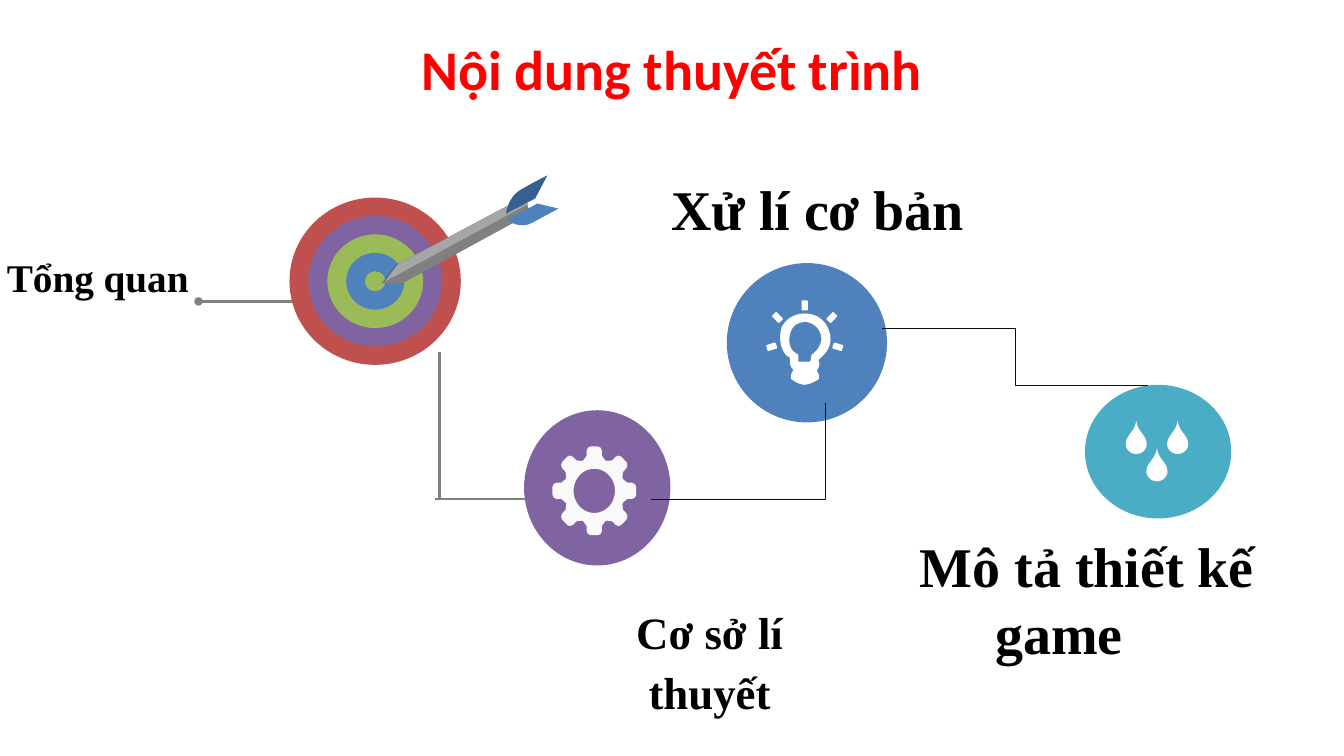
from math import cos, pi, sin

from lxml.etree import SubElement
from pptx import Presentation
from pptx.dml.color import RGBColor
from pptx.enum.shapes import MSO_CONNECTOR, MSO_SHAPE
from pptx.enum.text import MSO_ANCHOR, MSO_AUTO_SIZE, PP_ALIGN
from pptx.oxml.ns import qn
from pptx.util import Pt

COLORS = {
    "title": "FF0000", "text": "000000", "white": "FFFFFF", "gear": "F9F9FA",
    "red": "C0504D", "purple": "8064A2", "green": "9BBB59", "blue": "4F81BD",
    "teal": "4BACC6", "navy": "376092", "gray": "808080", "silver": "A6A6A6",
    "shade": "515D5D", "edge": "828286", "line": "0D0D0D",
}


def color(name):
    return RGBColor.from_string(COLORS[name])


def write_text(frame, text, size=40, font="Times New Roman", fill="text",
               align=PP_ALIGN.LEFT, spacing=1.0, wrap=False, indent=0, inset=7.2):
    frame.word_wrap = wrap
    frame.auto_size = MSO_AUTO_SIZE.SHAPE_TO_FIT_TEXT
    frame.vertical_anchor = MSO_ANCHOR.TOP
    frame.margin_left = frame.margin_right = Pt(inset)
    frame.margin_top = frame.margin_bottom = Pt(inset / 2)
    para = frame.paragraphs[0]
    para.alignment = align
    para.line_spacing = spacing
    if indent:
        para._p.get_or_add_pPr().set("indent", str(Pt(indent)))
    span = para.add_run()
    span.text = text
    span.font.size = Pt(size)
    span.font.name = font
    span.font.bold = True
    span.font.color.rgb = color(fill)


def flatten(start, segments, steps=10):
    """Turn segments of one point (line) or three points (cubic curve) into a polyline."""
    points = [start]
    for segment in segments:
        if len(segment) == 1:
            points.append(segment[0])
            continue
        corners = [points[-1], *segment]
        for step in range(1, steps + 1):
            t = step / steps
            weights = ((1 - t) ** 3, 3 * t * (1 - t) ** 2, 3 * t * t * (1 - t), t ** 3)
            points.append(tuple(sum(w * c[axis] for w, c in zip(weights, corners))
                                for axis in (0, 1)))
    return points


class Slide:
    def __init__(self, page):
        self.page = page
        self.shapes = page.shapes

    def title(self, text, left, top, width, height, **style):
        box = self.shapes.title
        box.left, box.top, box.width, box.height = map(Pt, (left, top, width, height))
        write_text(box.text_frame, text, **style)

    def label(self, text, left, top, width, height, **style):
        box = self.shapes.add_textbox(*map(Pt, (left, top, width, height)))
        write_text(box.text_frame, text, **style)

    def paint(self, shape, fill):
        shape.fill.solid()
        shape.fill.fore_color.rgb = color(fill)
        shape.line.fill.background()
        shape.shadow.inherit = False

    def solid(self, kind, center, width, height, fill, rotation=0):
        x, y = center
        shape = self.shapes.add_shape(
            kind, Pt(x - width / 2), Pt(y - height / 2), Pt(width), Pt(height))
        shape.rotation = rotation
        self.paint(shape, fill)

    def outline(self, contours, fill, offset=(0, 0)):
        dx, dy = offset
        placed = [[(Pt(x + dx), Pt(y + dy)) for x, y in contour] for contour in contours]
        builder = self.shapes.build_freeform(*placed[0][0])
        builder.add_line_segments(placed[0][1:], close=True)
        for contour in placed[1:]:
            builder.move_to(*contour[0])
            builder.add_line_segments(contour[1:], close=True)
        self.paint(builder.convert_to_shape(), fill)

    def connector(self, start, end, fill, width, preset="line", dot=False):
        kind = MSO_CONNECTOR.STRAIGHT if preset == "line" else MSO_CONNECTOR.ELBOW
        link = self.shapes.add_connector(kind, *map(Pt, (*start, *end)))
        link.line.color.rgb = color(fill)
        link.line.width = Pt(width)
        properties = link._element.spPr
        properties.find(qn("a:prstGeom")).set("prst", preset)
        if dot:
            SubElement(link.line._get_or_add_ln(), qn("a:headEnd"), type="oval")
        SubElement(properties, qn("a:effectLst"))


def draw_target(slide):
    rings = ("red", "purple", "green", "blue", "green")
    for index, fill in enumerate(rings):
        slide.solid(MSO_SHAPE.OVAL, (268, 200.9), 122.4 - 27 * index, 119.5 - 26.3 * index, fill)
    upper = [(284.4, 188.6), (375.1, 140.4), (377.3, 146.2), (274.3, 201.6)]
    lower = [(288.7, 201.6), (378.7, 152.6), (376.6, 146.2), (274.3, 201.6)]
    for offset, top, bottom in (((-1.4, 0.7), "shade", "edge"), ((0, 0), "silver", "gray")):
        slide.outline([upper], top, offset)
        slide.outline([lower], bottom, offset)
    slide.outline([flatten((361.4, 152.6), [
        [(361.4, 152.6), (362.9, 140.4), (372.2, 135.4)],
        [(380.9, 130.3), (391, 125.3), (391, 125.3)], [(382.3, 141.8)]])], "navy")
    slide.outline([flatten((362.2, 157), [
        [(362.2, 157), (370.8, 164.2), (380.2, 159.1)],
        [(389.5, 154.1), (398.9, 149), (398.9, 149)], [(383.8, 145.4)]])], "blue")


def draw_bulb(slide):
    slide.solid(MSO_SHAPE.OVAL, (576.4, 244.8), 114.5, 113.8, "blue")
    glass = flatten((7, 35), [
        [(7, 31.5)], [(2, 30), (-2, 20), (1, 10)], [(4.5, 3), (11, 0), (18, 0)],
        [(26, 0.5), (29.5, 3.5), (33, 8)], [(41, 22), (31, 30), (27.5, 33)],
        [(27.5, 34.5)], [(21.5, 34.5)], [(22.5, 29.5)],
        [(26.5, 26.5), (29, 23), (29.5, 18)], [(29, 10), (23, 6.5), (18, 6)],
        [(10, 6.5), (7, 11), (6.5, 18.5)], [(6.5, 26), (10, 27.5), (13, 29.5)],
        [(13, 34.5)]])
    socket = flatten((7, 34.5), [
        [(28, 34.5)], [(28, 37.5), (27.5, 39), (26, 41)],
        [(27.5, 42.5), (28, 44.5), (27.5, 47)], [(24.5, 49), (21, 50.5), (17.5, 51)],
        [(13.5, 50.5), (11.5, 49.5), (8, 47)], [(7, 44.5), (8, 42.5), (9.5, 40.5)],
        [(8.5, 39), (7, 38), (7, 34.5)]])
    for part in (glass, socket):
        slide.outline([part], "white", (557.3, 223.9))
    for dx, y, angle in ((0, 218.2, 0), (19.4, 226.8, 43.7), (23.6, 247.7, 107),
                         (-19.4, 226.8, -43.7), (-23.6, 247.7, -107)):
        slide.solid(MSO_SHAPE.ROUNDED_RECTANGLE, (574.8 + dx, y), 4.5, 7.2, "white", angle)


def draw_gear(slide):
    slide.solid(MSO_SHAPE.OVAL, (426.6, 348.5), 104.5, 110.9, "purple")
    half_tooth = [(8.3, 21.8), (5.8, 25), (5.8, 28.5), (4.8, 30.8), (2.8, 31.7)]
    tooth = [(-x, y) for x, y in half_tooth] + half_tooth[::-1]
    rim = []
    for index in range(8):
        angle = index * pi / 4
        rim += [(0.943 * (x * cos(angle) + y * sin(angle)), x * sin(angle) - y * cos(angle))
                for x, y in tooth]
    turns = [-index * pi / 24 for index in range(48)]
    hole = [(14.8 * cos(turn), 15.8 * sin(turn)) for turn in turns]
    slide.outline([rim, hole], "gear", (424.5, 350.6))


def draw_drops(slide):
    slide.solid(MSO_SHAPE.OVAL, (827.2, 322.6), 104.5, 95.4, "teal")
    drop = flatten((0, 0), [
        [(-1, 8.5), (-7.5, 10), (-7.5, 17)], [(-7.5, 20.5), (-4, 23.8), (0, 23.8)],
        [(4, 23.8), (7.5, 20.5), (7.5, 17)], [(7.5, 10), (1, 8.5), (0, 0)]])
    tips = ((811.6, 300.5), (841.2, 300.5), (826.4, 320))
    slide.outline([[(x + dx, y + dy) for x, y in drop] for dx, dy in tips], "white")


def main():
    deck = Presentation()
    deck.slide_width, deck.slide_height = Pt(960), Pt(540)
    slide = Slide(deck.slides.add_slide(deck.slide_layouts[5]))
    slide.title("Nội dung thuyết trình", 284.4, 26.6, 391, 51.1, font="Calibri",
                fill="title", align=PP_ALIGN.CENTER, spacing=0.9)
    slide.connector((311, 356.4), (438.5, 356.4), "gray", 2)
    slide.connector((141.8, 215.3), (254.9, 215.3), "gray", 2, dot=True)
    slide.connector((313.9, 251.3), (313.9, 356.4), "gray", 2)
    slide.label("Xử lí cơ bản", 472.3, 121, 223.9, 55.4)
    slide.label("Cơ sở lí thuyết", 398.9, 424.1, 216, 93.6, size=32, wrap=True,
                align=PP_ALIGN.CENTER, spacing=1.1, inset=8.6)
    slide.label("Tổng quan", -2.2, 177.1, 144, 41, size=28, align=PP_ALIGN.RIGHT)
    draw_target(slide)
    draw_bulb(slide)
    draw_gear(slide)
    draw_drops(slide)
    slide.label("Mô tả thiết kế game", 597.6, 375.8, 317.5, 103.7, wrap=True,
                align=PP_ALIGN.CENTER, indent=40)
    slide.connector((465.1, 356.4), (589.7, 288), "line", 0.5, "bentConnector2")
    slide.connector((630, 234.7), (820.1, 275), "line", 0.5, "bentConnector3")
    deck.save("out.pptx")


if __name__ == "__main__":
    main()
